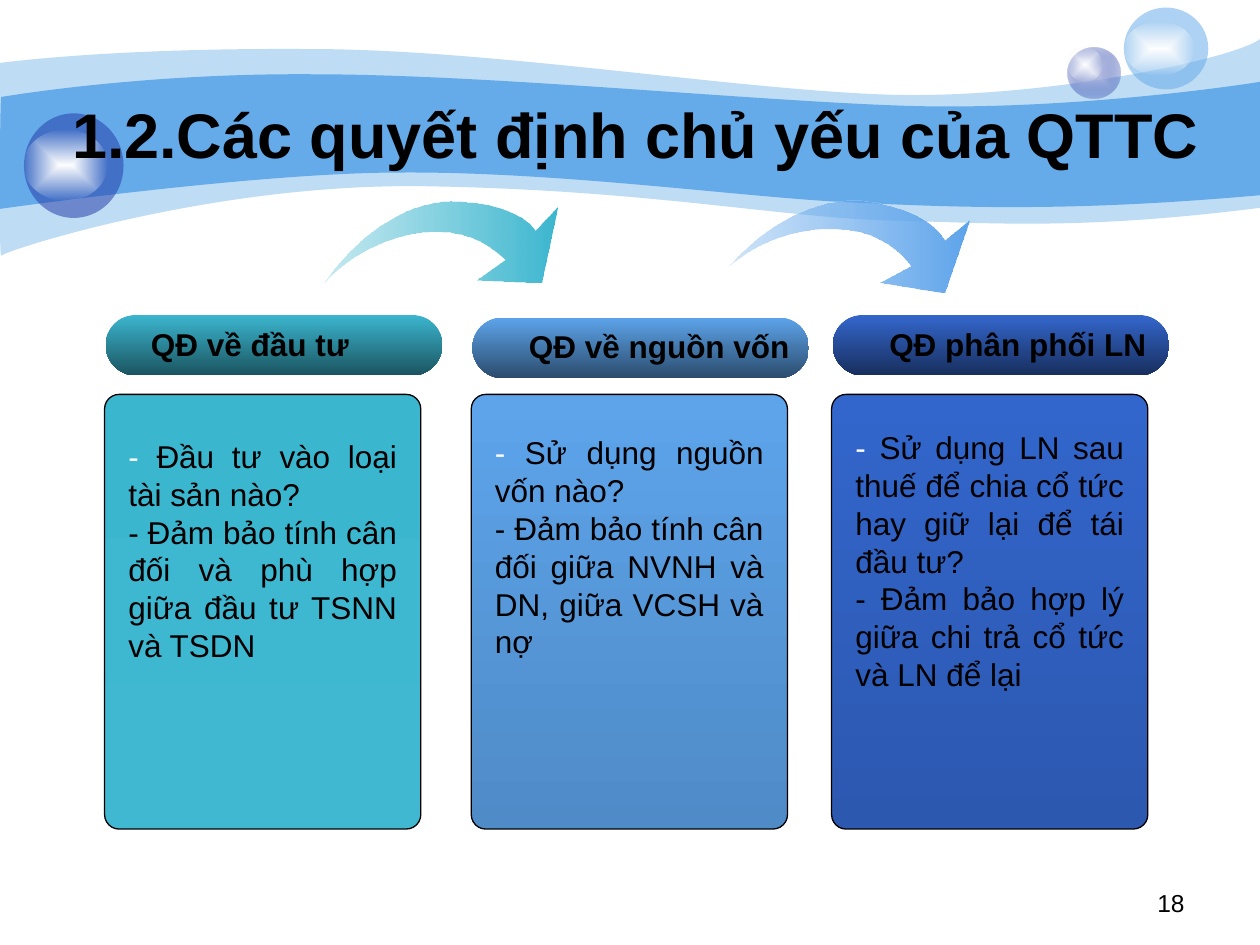
import math
from lxml import etree
from pptx import Presentation
from pptx.dml import color
from pptx.enum import shapes, text
from pptx.oxml import ns
from pptx.util import Inches, Pt

KIND = shapes.MSO_SHAPE
ALIGN = text.PP_ALIGN

# Each outline: a start point, then lines (2 numbers) or curves (6 numbers)
PALE = [(0, 0.5), (0.24, 0.47, 1.07, 0.38, 2.47, 0.39),
        (3.86, 0.39, 5.75, 0.7, 6.99, 0.75), (8.22, 0.8, 9.8, 0.47, 10, 0.31),
        (10, 1.65), (8.58, 1.83, 7.87, 1.77, 7.05, 1.75),
        (6.22, 1.73, 5.15, 1.51, 3.43, 1.48), (1.72, 1.44, 0.04, 1.99, 0.01, 2.03),
        (-0.01, 2.08, 0, 0.75, 0, 0.5)]
DEEP = [(0.01, 0.77), (0.02, 0.77, 1.1, 0.58, 2.48, 0.59),
        (3.86, 0.59, 5.95, 0.8, 7.18, 0.84), (8.41, 0.88, 9.76, 0.69, 10, 0.65),
        (10, 1.55), (8.53, 1.68, 7.65, 1.65, 6.82, 1.61),
        (5.99, 1.58, 4.47, 1.36, 3.17, 1.37), (2.03, 1.37, -0.02, 1.66, -0.01, 1.66),
        (0, 1.66, 0, 0.77, 0.01, 0.77)]
# Arrow outline around its own centre, lying level at a turn of TILT degrees
TILT = 22.2
ARROW = [(-0.98, 0.28), (-0.83, 0.11, -0.5, -0.13, -0.06, -0.13),
         (0.2, -0.13, 0.37, 0, 0.46, 0.09), (0.23, 0.25), (0.75, 0.27),
         (0.88, -0.33), (0.7, -0.14), (0.6, -0.28, 0.35, -0.37, 0.03, -0.37),
         (-0.35, -0.37, -0.73, -0.09, -0.98, 0.28)]


def rgb(code):
    return color.RGBColor.from_string(code)


def paint(shape, stops, angle=None):
    """Fill with (hex, opacity) stops: one is solid, no angle means from the centre."""
    shape.shadow.inherit = False
    shape.line.fill.background()
    shape.fill.solid()
    props = shape._element.spPr
    old = props.find(ns.qn("a:solidFill"))
    solid = len(stops) == 1
    new = etree.Element(ns.qn("a:solidFill" if solid else "a:gradFill"))
    props.replace(old, new)
    home = new if solid else etree.SubElement(new, ns.qn("a:gsLst"))
    for i, (code, part) in enumerate(stops):
        spot = home if solid else etree.SubElement(home, ns.qn("a:gs"), pos=str(i * 100000))
        tint = etree.SubElement(spot, ns.qn("a:srgbClr"), val=code)
        if part < 100:
            etree.SubElement(tint, ns.qn("a:alpha"), val=str(part * 1000))
    if solid:
        return
    new.set("rotWithShape", "1")
    if angle is None:
        way = etree.SubElement(new, ns.qn("a:path"), path="rect")
        etree.SubElement(way, ns.qn("a:fillToRect"), l="50000", t="50000", r="50000", b="50000")
    else:
        etree.SubElement(new, ns.qn("a:lin"), ang=str(round(angle * 60000)), scaled="0")


def pairs(part):
    return list(zip(part[::2], part[1::2]))


def draw(slide, path):
    """Draw an outline, joining each curve's three points into one cubic segment."""
    dots = [(Inches(x), Inches(y)) for part in path for x, y in pairs(part)]
    pen = slide.shapes.build_freeform(*dots[0])
    pen.add_line_segments(dots[1:], close=True)
    shape = pen.convert_to_shape()
    legs = iter(shape._element.findall(".//" + ns.qn("a:lnTo")))
    for part in path[1:]:
        group = [next(legs) for _ in pairs(part)]
        if len(group) == 3:
            curve = etree.Element(ns.qn("a:cubicBezTo"))
            group[0].addprevious(curve)
            for leg in group:
                curve.append(leg[0])
                leg.getparent().remove(leg)
    return shape


def add(slide, kind, box, stops, angle=None):
    shape = slide.shapes.add_shape(kind, *map(Inches, box))
    paint(shape, stops, angle)
    return shape


def write(para, words, **style):
    run = para.add_run()
    run.text = words
    look = {"name": "Arial", "size": Pt(18), "bold": False, **style}
    run.font.color.rgb = rgb(look.pop("ink", "000000"))
    for key, val in look.items():
        setattr(run.font, key, val)


def label(slide, box, wrap=True):
    frame = slide.shapes.add_textbox(*map(Inches, box)).text_frame
    frame.word_wrap = wrap
    return frame


def ball(slide, box, stops, glow):
    add(slide, KIND.OVAL, box, stops)
    add(slide, KIND.OVAL, glow, [("FFFFFF", 100), ("FFFFFF", 0)])


def banner(slide):
    # Waves
    for path, part in ((PALE, 41), (DEEP, 100)):
        paint(draw(slide, path), [("65AAE9", part)])
    # Glass balls
    ball(slide, (8.47, 0.38, 0.42, 0.4), [("C7CEE9", 100), ("233DA9", 31)],
         (8.47, 0.38, 0.28, 0.27))
    ball(slide, (8.92, 0.06, 0.67, 0.65), [("65AAE9", 53)], (8.92, 0.17, 0.56, 0.43))
    ball(slide, (0.19, 0.9, 0.79, 0.83), [("233DA9", 53)], (0.19, 1.03, 0.66, 0.56))


def heading(slide, box, words):
    title = slide.shapes.title
    slide.shapes._spTree.append(title._element)  # in front of the banner
    title.left, title.top, title.width, title.height = map(Inches, box)
    frame = title.text_frame
    frame.margin_left = frame.margin_right = 0
    frame.word_wrap = True
    frame.vertical_anchor = text.MSO_ANCHOR.MIDDLE
    para = frame.paragraphs[0]
    para.alignment = ALIGN.CENTER
    write(para, words, size=Pt(36), bold=True)


def arrow(slide, x, y, turn, tint, fade):
    c, s = math.cos(math.radians(TILT)), math.sin(math.radians(TILT))
    path = [[n for a, b in pairs(part) for n in (x + a * c + b * s, y - a * s + b * c)]
            for part in ARROW]
    shape = draw(slide, path)
    shape.rotation = turn
    paint(shape, [(tint, 100), (fade, 32)], 180 - turn)


def card(slide, x, y, tint, low, dark, head, inset, lines, drop):
    # Panel
    panel = add(slide, KIND.ROUNDED_RECTANGLE, (x, 3.13, 2.51, 3.45),
                [(tint, 100), (low, 100)], 90)
    panel.adjustments[0] = 0.046
    panel.line.color.rgb = rgb("000000")
    panel.line.width = Pt(0.75)
    # Pill heading
    pill = add(slide, KIND.ROUNDED_RECTANGLE, (x + 0.01, y, 2.67, 0.48),
               [(tint, 100), (dark, 100)], 90)
    pill.adjustments[0] = 0.5
    frame = label(slide, (x + inset, y + 0.03, 2.3, 0.4), False)
    write(frame.paragraphs[0], head, bold=True)
    # Points
    frame = label(slide, (x + 0.09, drop, 2.33, 1.9))
    for i, line in enumerate(lines):
        para = frame.add_paragraph() if i else frame.paragraphs[0]
        para.alignment = ALIGN.JUSTIFY
        write(para, "- ", ink="000000" if i else "FFFFFF")
        write(para, line)


def main():
    deck = Presentation()
    deck.slide_width, deck.slide_height = Inches(10), Inches(7.5)
    slide = deck.slides.add_slide(deck.slide_layouts[5])
    banner(slide)
    heading(slide, (0.42, 0.75, 9.25, 0.62), "1.2.Các quyết định chủ yếu của QTTC")

    # Page number
    para = label(slide, (7.17, 7, 2.33, 0.35)).paragraphs[0]
    para.alignment = ALIGN.RIGHT
    write(para, "18", size=Pt(14))

    arrow(slide, 3.55, 1.97, 22.2, "3BB6CF", "4DBDD3")
    arrow(slide, 6.78, 1.96, 29.2, "5DA4EB", "6CACED")

    card(slide, 0.83, 2.5, "3BB6CF", "41B8D1", "1B5460", "QĐ về đầu tư", 0.27,
         ["Đầu tư vào loại tài sản nào?",
          "Đảm bảo tính cân đối và phù hợp giữa đầu tư TSNN và TSDN"], 3.42)
    card(slide, 3.74, 2.52, "5DA4EB", "4F8BC7", "2B4C6D", "QĐ về nguồn vốn", 0.36,
         ["Sử dụng nguồn vốn nào?",
          "Đảm bảo tính cân đối giữa NVNH và DN, giữa VCSH và nợ"], 3.39)
    card(slide, 6.6, 2.5, "3366CC", "2C58B0", "182F5E", "QĐ phân phối LN", 0.36,
         ["Sử dụng LN sau thuế để chia cổ tức hay giữ lại để tái đầu tư?",
          "Đảm bảo hợp lý giữa chi trả cổ tức và LN để lại"], 3.35)
    deck.save("out.pptx")


if __name__ == "__main__":
    main()
